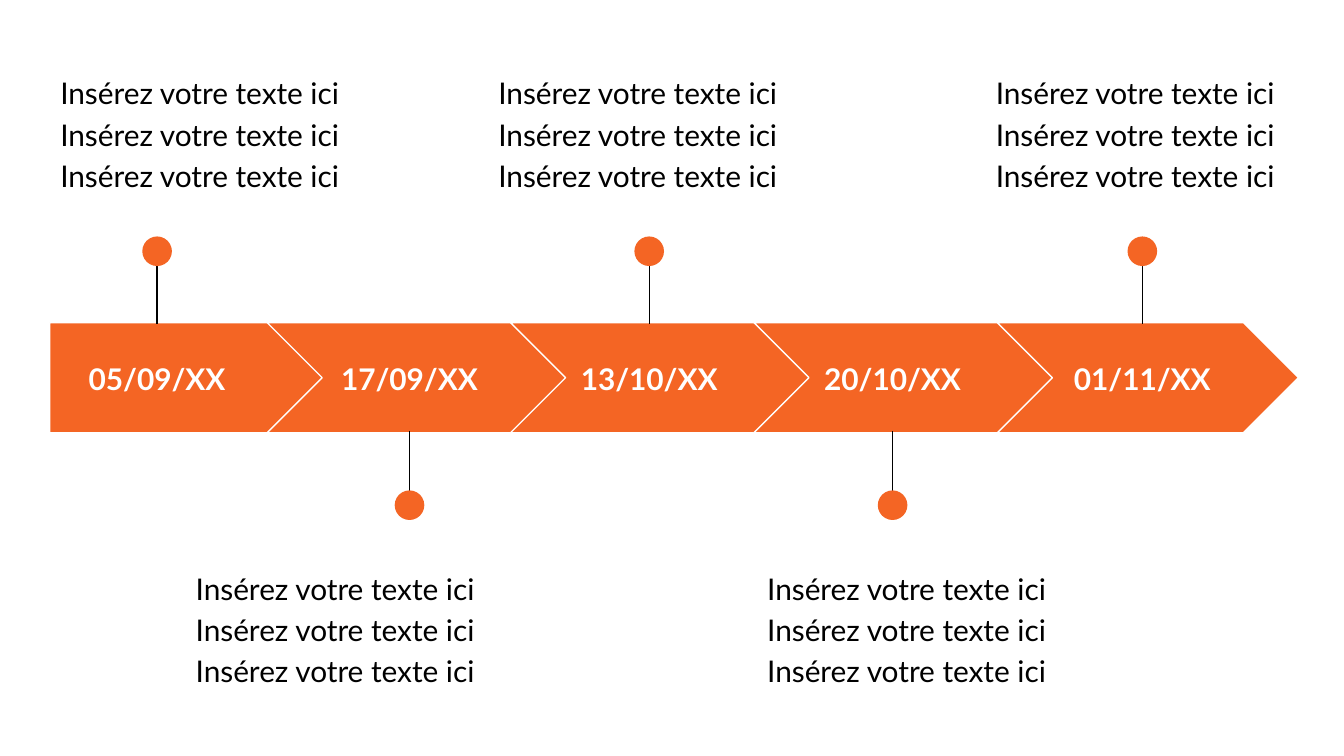
from dataclasses import dataclass

from lxml import etree
from pptx import Presentation
from pptx.dml.color import RGBColor
from pptx.enum.shapes import MSO_CONNECTOR, MSO_SHAPE
from pptx.enum.text import MSO_ANCHOR, PP_ALIGN
from pptx.oxml.ns import qn
from pptx.shapes.group import GroupShape
from pptx.slide import Slide
from pptx.text.text import TextFrame
from pptx.util import Cm, Pt

PENTAGON = MSO_SHAPE.PENTAGON
CHEVRON = MSO_SHAPE.CHEVRON
OVAL = MSO_SHAPE.OVAL
STRAIGHT = MSO_CONNECTOR.STRAIGHT
TOP = MSO_ANCHOR.TOP
MIDDLE = MSO_ANCHOR.MIDDLE
LEFT = PP_ALIGN.LEFT
CENTER = PP_ALIGN.CENTER

ORANGE = RGBColor(0xF4, 0x65, 0x24)
BLACK = RGBColor(0x00, 0x00, 0x00)
WHITE = RGBColor(0xFF, 0xFF, 0xFF)

FONT = "Lato"
NOTE = " ".join(["Insérez votre texte ici"] * 3)

# Lengths in centimetres
BAND_TOP, BAND_HEIGHT = 6.1, 2.08
FIRST_LEFT, FIRST_WIDTH = 0.94, 5.21
CHEVRON_LEFT, CHEVRON_WIDTH, CHEVRON_PITCH = 5.05, 5.69, 4.6
LABEL_TOP, LABEL_WIDTH, LABEL_HEIGHT = 6.5, 3.66, 1.3
NOTE_WIDTH, NOTE_HEIGHT = 6.22, 2.51
DOT_SIZE = 0.56
INSET = 0.25


@dataclass(frozen=True)
class Side:
    """Vertical positions shared by milestones on one side of the band."""
    note_top: float
    dot_top: float
    line_start: float
    line_end: float


@dataclass(frozen=True)
class Milestone:
    date: str
    center: float
    note_left: float
    side: Side


ABOVE = Side(1.07, 4.47, 4.57, 6.12)
BELOW = Side(10.44, 9.27, 9.7, 8.15)

MILESTONES = [
    Milestone("05/09/XX", 2.97, 0.89, ABOVE),
    Milestone("17/09/XX", 7.74, 3.45, BELOW),
    Milestone("13/10/XX", 12.27, 9.17, ABOVE),
    Milestone("20/10/XX", 16.87, 14.25, BELOW),
    Milestone("01/11/XX", 21.59, 18.57, ABOVE),
]


def add_text_box(slide: Slide, left: float, top: float, width: float,
                 height: float, anchor: MSO_ANCHOR) -> TextFrame:
    box = slide.shapes.add_textbox(Cm(left), Cm(top), Cm(width), Cm(height))
    frame = box.text_frame
    frame.word_wrap = True
    frame.vertical_anchor = anchor
    frame.margin_left = frame.margin_right = Cm(INSET)
    frame.margin_top = frame.margin_bottom = Cm(INSET)
    return frame


def write_text(frame: TextFrame, text: str, color: RGBColor,
               alignment: PP_ALIGN, bold: bool = False) -> None:
    paragraph = frame.paragraphs[0]
    paragraph.alignment = alignment
    run = paragraph.add_run()
    run.text = text
    run.font.name = FONT
    run.font.size = Pt(16)
    run.font.bold = bold
    run.font.color.rgb = color


def add_step(slide: Slide, index: int) -> None:
    """Draw one arrow of the band; the first has a flat left edge."""
    if index == 0:
        kind, left, width = PENTAGON, FIRST_LEFT, FIRST_WIDTH
    else:
        kind, width = CHEVRON, CHEVRON_WIDTH
        left = CHEVRON_LEFT + (index - 1) * CHEVRON_PITCH
    shape = slide.shapes.add_shape(
        kind, Cm(left), Cm(BAND_TOP), Cm(width), Cm(BAND_HEIGHT))
    shape.adjustments[0] = 0.5
    shape.shadow.inherit = False
    shape.fill.solid()
    shape.fill.fore_color.rgb = ORANGE
    shape.line.color.rgb = WHITE
    shape.line.width = Pt(0.75)


def add_pin_line(pin: GroupShape, center: float, side: Side) -> None:
    line = pin.shapes.add_connector(
        STRAIGHT, Cm(center), Cm(side.line_start),
        Cm(center), Cm(side.line_end))
    line.line.color.rgb = BLACK
    line.line.width = Pt(0.75)
    etree.SubElement(line._element.spPr, qn("a:effectLst"))


def add_pin_dot(pin: GroupShape, center: float, side: Side) -> None:
    dot = pin.shapes.add_shape(
        OVAL, Cm(center - DOT_SIZE / 2), Cm(side.dot_top),
        Cm(DOT_SIZE), Cm(DOT_SIZE))
    dot.shadow.inherit = False
    dot.fill.solid()
    dot.fill.fore_color.rgb = ORANGE
    dot.line.fill.background()


def add_milestone(slide: Slide, index: int, milestone: Milestone) -> None:
    add_step(slide, index)

    label = add_text_box(slide, milestone.center - LABEL_WIDTH / 2, LABEL_TOP,
                         LABEL_WIDTH, LABEL_HEIGHT, MIDDLE)
    write_text(label, milestone.date, WHITE, CENTER, bold=True)

    pin = slide.shapes.add_group_shape()
    add_pin_line(pin, milestone.center, milestone.side)
    add_pin_dot(pin, milestone.center, milestone.side)

    note = add_text_box(slide, milestone.note_left, milestone.side.note_top,
                        NOTE_WIDTH, NOTE_HEIGHT, TOP)
    write_text(note, NOTE, BLACK, LEFT)
    note.paragraphs[0].line_spacing = 1.15
    note.paragraphs[0].space_after = Pt(16)


def main() -> None:
    presentation = Presentation()
    presentation.slide_width = Cm(25.4)
    presentation.slide_height = Cm(14.29)
    slide = presentation.slides.add_slide(presentation.slide_layouts[6])
    for index, milestone in enumerate(MILESTONES):
        add_milestone(slide, index, milestone)
    presentation.save("out.pptx")


if __name__ == "__main__":
    main()
